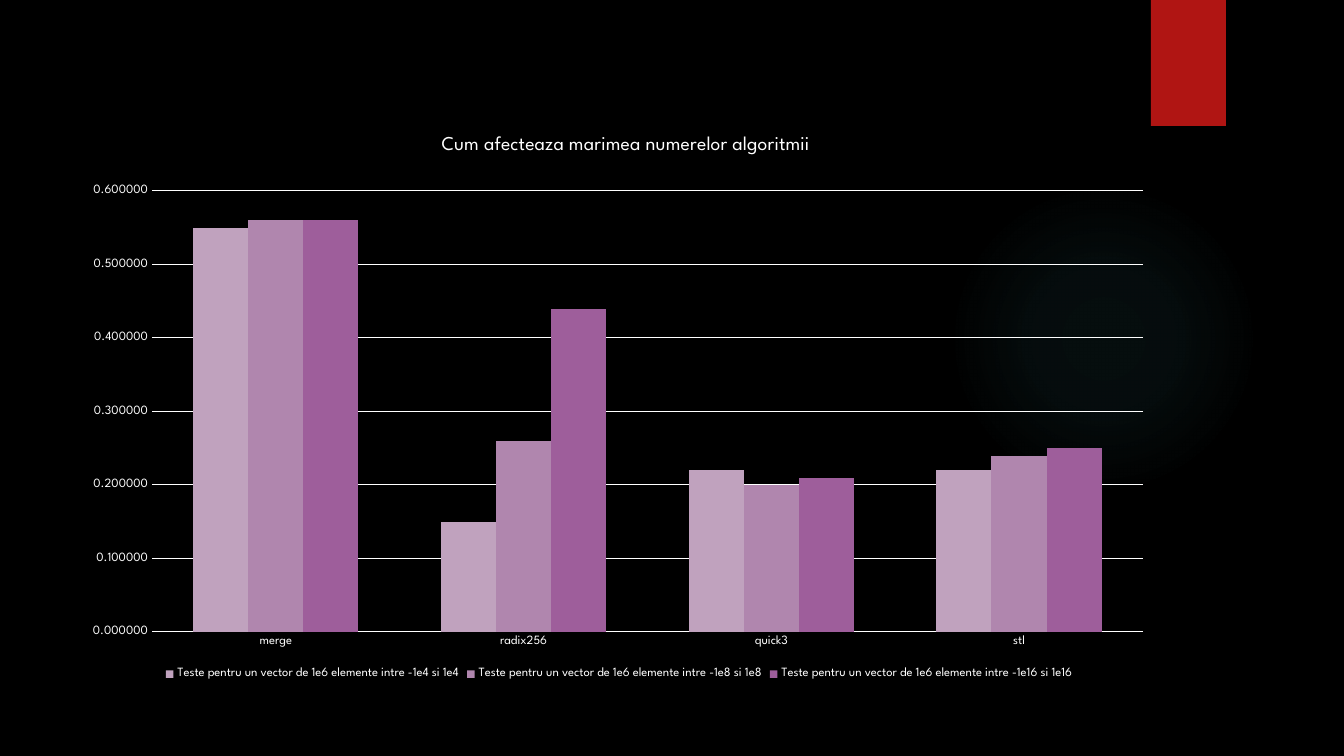
from lxml import etree
from pptx import Presentation
from pptx.chart.data import CategoryChartData
from pptx.dml.color import RGBColor
from pptx.enum.chart import XL_CHART_TYPE, XL_LEGEND_POSITION, XL_TICK_MARK
from pptx.enum.shapes import MSO_SHAPE
from pptx.oxml import parse_xml
from pptx.oxml.ns import nsdecls, qn
from pptx.util import Pt

COLUMNS = XL_CHART_TYPE.COLUMN_CLUSTERED
LEGEND_BOTTOM = XL_LEGEND_POSITION.BOTTOM
NO_TICK = XL_TICK_MARK.NONE
OVAL, RECTANGLE = MSO_SHAPE.OVAL, MSO_SHAPE.RECTANGLE

EMU_PER_PX = 914400 / 100.8
FONT = "League Spartan"
BLACK = RGBColor(0x00, 0x00, 0x00)
WHITE = RGBColor(0xFF, 0xFF, 0xFF)
RED = RGBColor(0xB0, 0x15, 0x13)
TEAL = RGBColor(0x50, 0xB9, 0xC1)
LIGHT_MAUVE = RGBColor(0xC0, 0xA2, 0xBE)
MAUVE = RGBColor(0xB0, 0x86, 0xAE)
PURPLE = RGBColor(0x9E, 0x5E, 0x9B)

TITLE = "Cum afecteaza marimea numerelor algoritmii"
ALGORITHMS = ["merge", "radix256", "quick3", "stl"]
TEST_NAME = "Teste pentru un vector de 1e6 elemente intre -{0} si {0}"
TESTS = [
    ("1e4", LIGHT_MAUVE, (0.55, 0.15, 0.22, 0.22)),
    ("1e8", MAUVE, (0.56, 0.26, 0.2, 0.24)),
    ("1e16", PURPLE, (0.56, 0.44, 0.21, 0.25)),
]
GLOW_STOPS = [(0, 7), (36, 6), (69, 0)]  # position and opacity, in percent


def px(length):
    return round(length * EMU_PER_PX)


def add_plain_shape(slide, kind, box, color):
    shape = slide.shapes.add_shape(kind, *map(px, box))
    shape.shadow.inherit = False
    shape.fill.solid()
    shape.fill.fore_color.rgb = color
    shape.line.fill.background()
    return shape


def add_glow(slide, box):
    """Circle that fades out from its centre."""
    glow = add_plain_shape(slide, OVAL, box, TEAL)
    stops = "".join(
        f'<a:gs pos="{position * 1000}"><a:srgbClr val="{TEAL}">'
        f'<a:alpha val="{opacity * 1000}"/></a:srgbClr></a:gs>'
        for position, opacity in GLOW_STOPS
    )
    gradient = parse_xml(
        f'<a:gradFill {nsdecls("a")}><a:gsLst>{stops}</a:gsLst><a:path path="circle">'
        '<a:fillToRect l="50000" t="50000" r="50000" b="50000"/></a:path></a:gradFill>'
    )
    properties = glow.element.spPr
    properties.replace(properties.find(qn("a:solidFill")), gradient)


def style_font(font, size):
    font.name = FONT
    font.size = Pt(size)
    font.bold = False
    font.color.rgb = WHITE


def style_axis(axis):
    axis.major_tick_mark = axis.minor_tick_mark = NO_TICK
    axis.format.line.fill.background()
    style_font(axis.tick_labels.font, 9)


def place_part(part, index, chart_box, part_box, target=None):
    """Fix a chart part, given in px from the chart's corner; index is the layout's rank."""
    for old_layout in part.findall(qn("c:layout")):
        part.remove(old_layout)
    layout = etree.Element(qn("c:layout"))
    manual = etree.SubElement(layout, qn("c:manualLayout"))
    settings = [("layoutTarget", target)] if target else []
    settings += [("xMode", "edge"), ("yMode", "edge")]
    settings += [
        (name, f"{length / chart_box[2 + rank % 2]:.4f}")
        for rank, (name, length) in enumerate(zip("xywh", part_box))
    ]
    for name, value in settings:
        etree.SubElement(manual, qn("c:" + name)).set("val", value)
    part.insert(index, layout)


def add_timing_chart(slide, box):
    data = CategoryChartData(number_format="0.000000")
    data.categories = ALGORITHMS
    for limit, _, seconds in TESTS:
        data.add_series(TEST_NAME.format(limit), seconds)
    chart = slide.shapes.add_chart(COLUMNS, *map(px, box), data).chart
    style_font(chart.font, 10)

    run = chart.chart_title.text_frame.paragraphs[0].add_run()
    run.text = TITLE
    style_font(run.font, 14)
    chart.chart_title.include_in_layout = False

    chart.has_legend = True
    chart.legend.position = LEGEND_BOTTOM
    chart.legend.include_in_layout = False
    style_font(chart.legend.font, 9)

    style_axis(chart.category_axis)
    value_axis = chart.value_axis
    style_axis(value_axis)
    value_axis.minimum_scale, value_axis.maximum_scale = 0, 0.6
    value_axis.major_unit = 0.1
    value_axis.tick_labels.number_format = "0.000000"
    value_axis.tick_labels.number_format_is_linked = False
    grid_line = value_axis.major_gridlines.format.line
    grid_line.color.rgb = WHITE
    grid_line.width = Pt(0.75)

    plot = chart.plots[0]
    plot.gap_width, plot.overlap = 150, 0
    plot.vary_by_categories = False
    for series, (_, color, _) in zip(plot.series, TESTS):
        series.format.fill.solid()
        series.format.fill.fore_color.rgb = color

    plot_area = chart.element.find(".//" + qn("c:plotArea"))
    place_part(plot_area, 0, box, (80, 62, 991, 441), "inner")
    place_part(chart.chart_title.element, 1, box, (366, 2))


def main():
    presentation = Presentation()
    presentation.slide_width, presentation.slide_height = px(1344), px(756)
    slide = presentation.slides.add_slide(presentation.slide_layouts[6])
    slide.background.fill.solid()
    slide.background.fill.fore_color.rgb = BLACK
    add_glow(slide, (949, 184, 310, 310))
    add_plain_shape(slide, RECTANGLE, (1151, 0, 75, 126), RED)
    add_timing_chart(slide, (72, 129, 1094, 555))
    presentation.save("out.pptx")


if __name__ == "__main__":
    main()
